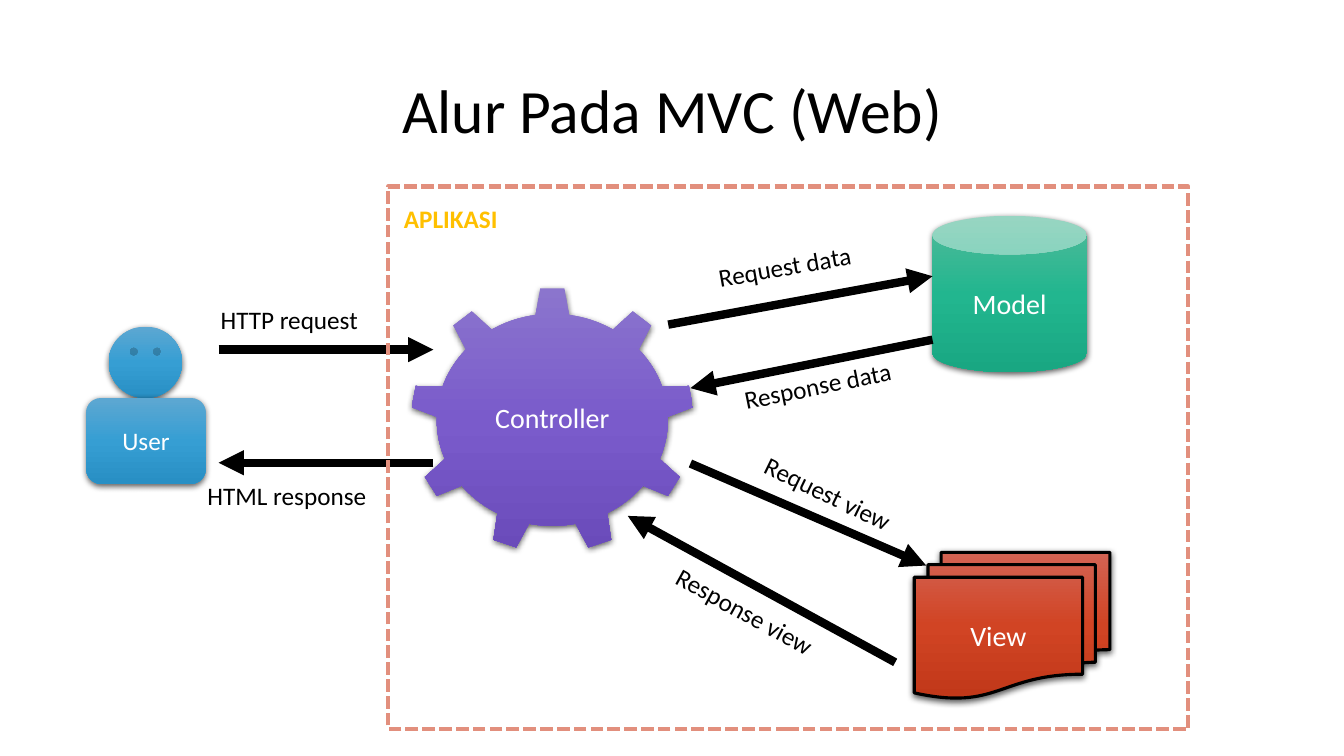
import lxml.etree
import pptx
import pptx.dml.color
import pptx.enum.dml
import pptx.enum.shapes
import pptx.enum.text
import pptx.oxml.ns
import pptx.util

Cm = pptx.util.Cm
Pt = pptx.util.Pt
qn = pptx.oxml.ns.qn
SHAPE = pptx.enum.shapes.MSO_SHAPE
ALIGN = pptx.enum.text.PP_ALIGN

COLORS = {"black": "000000", "white": "FFFFFF", "frame": "E28F7D", "gold": "FFC000"}
GRADIENTS = {
    "blue": ("5DA7D2", "369ED3", "288FC4"),
    "green": ("52BA9A", "22B68F", "19A782"),
    "red": ("D36353", "D14424", "C13819"),
    "purple": ("8B75CD", "7A5BCB", "6A4BBA"),
}


def rgb(name):
    return pptx.dml.color.RGBColor.from_string(COLORS[name])


def add_xml(parent, tag, **attrs):
    return lxml.etree.SubElement(parent, qn(tag), attrs)


class Diagram:
    font = "Calibri"

    def __init__(self, prs):
        self.slide = prs.slides.add_slide(prs.slide_layouts[5])
        self.shapes = self.slide.shapes

    def add_text(self, tf, text, size, color, align, bold=False):
        p = tf.paragraphs[0]
        p.alignment = align
        r = p.add_run()
        r.text = text
        r.font.name = self.font
        r.font.size = Pt(size)
        r.font.bold = bold
        r.font.color.rgb = rgb(color)
        return p

    def title(self, text, box):
        sp = self.shapes.title
        sp.left, sp.top, sp.width, sp.height = map(Cm, box)
        sp.text_frame.vertical_anchor = pptx.enum.text.MSO_ANCHOR.MIDDLE
        self.add_text(sp.text_frame, text, 44, "black", ALIGN.CENTER).line_spacing = 0.9

    def node(self, kind, box, gradient, text="", size=20, outline=None, parent=None):
        sp = (parent or self.slide).shapes.add_shape(kind, *map(Cm, box))
        # Three-stop vertical gradient
        sp.fill.gradient()
        sp.fill.gradient_angle = 270
        stops = sp._element.spPr.find(".//" + qn("a:gsLst"))
        for stop in list(stops):
            stops.remove(stop)
        for i, color in enumerate(GRADIENTS[gradient]):
            stop = add_xml(stops, "a:gs", pos=str(i * 50000))
            add_xml(stop, "a:srgbClr", val=color)
        if outline:
            sp.line.color.rgb = rgb("black")
            sp.line.width = Pt(outline)
        else:
            sp.line.fill.background()
        # Soft shadow below
        sp.shadow.inherit = False
        effects = sp._element.spPr.find(qn("a:effectLst"))
        shadow = add_xml(effects, "a:outerShdw", blurRad=str(Pt(4.5)), dist=str(Pt(1.5)),
                         dir="5400000", algn="ctr", rotWithShape="0")
        color = add_xml(shadow, "a:srgbClr", val=COLORS["black"])
        add_xml(color, "a:alpha", val="63000")
        if text:
            tf = sp.text_frame
            tf.word_wrap = False
            tf.vertical_anchor = pptx.enum.text.MSO_ANCHOR.MIDDLE
            self.add_text(tf, text, size, "white", ALIGN.CENTER)

    def frame(self, box):
        sp = self.shapes.add_shape(SHAPE.RECTANGLE, *map(Cm, box))
        sp.fill.background()
        sp.line.color.rgb = rgb("frame")
        sp.line.width = Pt(3)
        sp.line.dash_style = pptx.enum.dml.MSO_LINE.SQUARE_DOT
        # Short system dash
        sp.line._ln.find(qn("a:prstDash")).set("val", "sysDash")
        sp.shadow.inherit = False

    def arrow(self, *ends):
        straight = pptx.enum.shapes.MSO_CONNECTOR.STRAIGHT
        cx = self.shapes.add_connector(straight, *map(Cm, ends))
        cx.line.color.rgb = rgb("black")
        cx.line.width = Pt(6)
        add_xml(cx.line._ln, "a:tailEnd", type="triangle")
        add_xml(cx._element.spPr, "a:effectLst")

    def label(self, text, left, top, width=5.54, rotation=0, align=ALIGN.LEFT,
              color="black", bold=False, wrap=True):
        sp = self.shapes.add_textbox(Cm(left), Cm(top), Cm(width), Cm(1.02))
        sp.rotation = rotation
        sp.text_frame.word_wrap = wrap
        sp.text_frame.auto_size = pptx.enum.text.MSO_AUTO_SIZE.SHAPE_TO_FIT_TEXT
        self.add_text(sp.text_frame, text, 18, color, align, bold)


def main():
    prs = pptx.Presentation()
    prs.slide_width, prs.slide_height = Cm(33.87), Cm(19.05)
    s = Diagram(prs)
    s.title("Alur Pada MVC (Web)", (2.34, 1.02, 29.21, 3.68))

    # View and model
    s.node(SHAPE.FLOWCHART_MULTIDOCUMENT, (23.04, 13.92, 4.93, 3.68), "red", "View", outline=2.25)
    s.node(SHAPE.CAN, (23.5, 5.44, 3.89, 3.94), "green", "Model")

    # User: head and body
    user = s.shapes.add_group_shape()
    s.node(SHAPE.SMILEY_FACE, (2.74, 8.23, 1.85, 1.8), "blue", parent=user)
    s.node(SHAPE.ROUNDED_RECTANGLE, (2.18, 10.03, 3, 2.16), "blue", "User", 18, parent=user)

    # Arrows behind the application frame
    s.arrow(5.51, 8.81, 10.92, 8.81)
    s.arrow(23.5, 8.56, 17.4, 9.78)
    s.arrow(22.56, 16.69, 15.82, 13)
    s.arrow(10.92, 11.66, 5.51, 11.66)

    # Application frame and the requests inside it
    s.frame((9.78, 4.7, 20.17, 13.67))
    s.arrow(16.84, 8.18, 23.5, 6.96)
    s.arrow(17.4, 11.68, 23.34, 14.25)

    # Labels
    s.label("HTTP request", 5.31, 7.54)
    s.label("HTML response", 4.98, 11.99)
    s.label("Request data", 15.95, 6.2, 7.65, 350.1, ALIGN.CENTER)
    s.label("Response data", 18.47, 9.07, rotation=348.6)
    s.label("Request view", 18.82, 12.27, rotation=25.9)
    s.label("Response view", 16.54, 15.19, rotation=28.8)
    s.label("APLIKASI", 9.93, 5, 3.33, color="gold", bold=True, wrap=False)

    # Controller gear
    s.node(SHAPE.GEAR_9, (10.34, 7.24, 7.16, 6.68), "purple", "Controller")
    prs.save("out.pptx")


if __name__ == "__main__":
    main()
